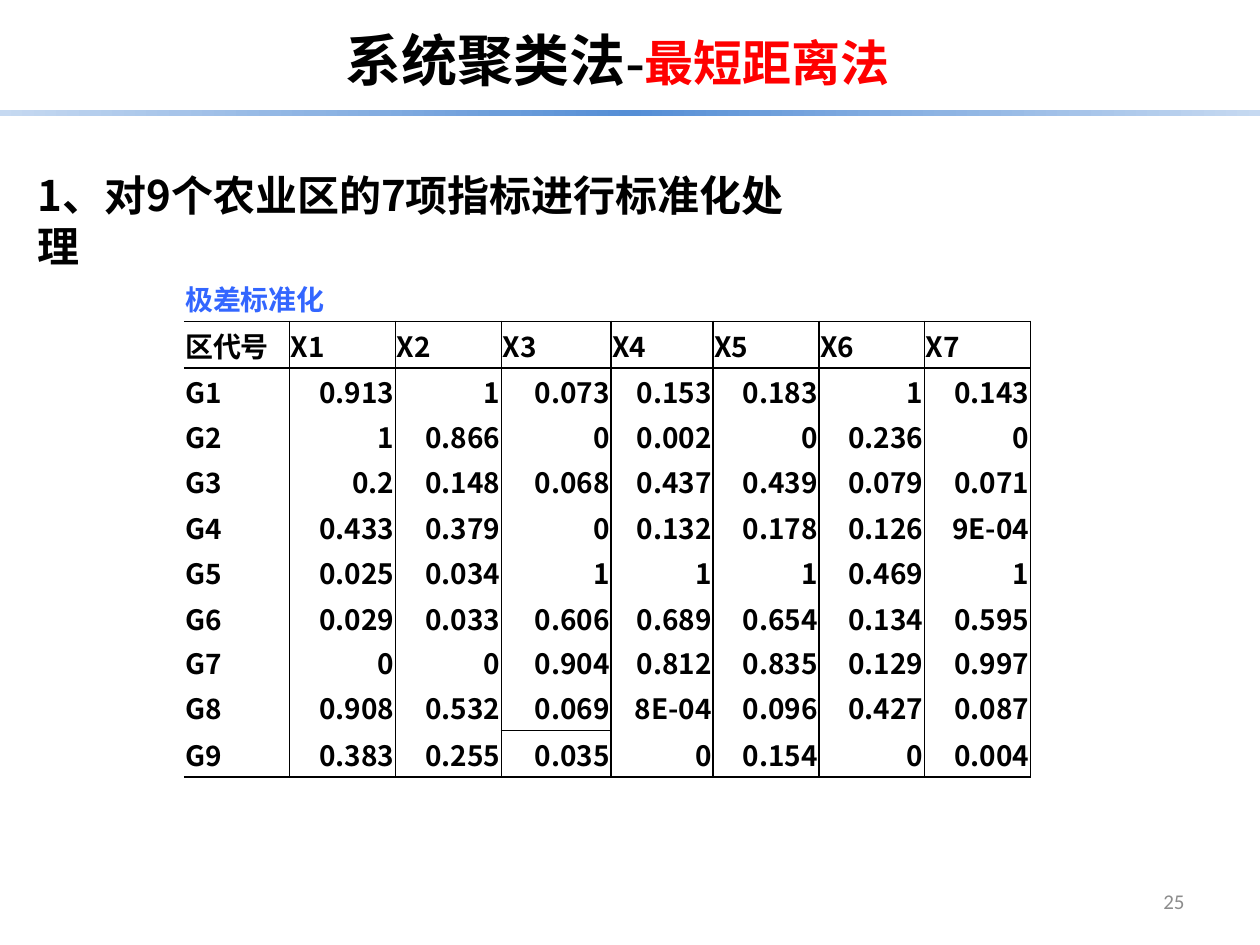
from lxml.etree import SubElement
from pptx import Presentation
from pptx.dml.color import RGBColor
from pptx.enum.shapes import MSO_SHAPE
from pptx.enum.text import MSO_ANCHOR, PP_ALIGN
from pptx.oxml.ns import qn
from pptx.util import Inches, Pt

# Content
TITLE = [("系统聚类法-", 32, "ink"), ("最短距离法", 28, "accent")]
HEADING = "1、对9个农业区的7项指标进行标准化处理"
CAPTION = "极差标准化"
HEADER = ["区代号", "X1", "X2", "X3", "X4", "X5", "X6", "X7"]
ROWS = [
    ["G1", "0.913", "1", "0.073", "0.153", "0.183", "1", "0.143"],
    ["G2", "1", "0.866", "0", "0.002", "0", "0.236", "0"],
    ["G3", "0.2", "0.148", "0.068", "0.437", "0.439", "0.079", "0.071"],
    ["G4", "0.433", "0.379", "0", "0.132", "0.178", "0.126", "9E-04"],
    ["G5", "0.025", "0.034", "1", "1", "1", "0.469", "1"],
    ["G6", "0.029", "0.033", "0.606", "0.689", "0.654", "0.134", "0.595"],
    ["G7", "0", "0", "0.904", "0.812", "0.835", "0.129", "0.997"],
    ["G8", "0.908", "0.532", "0.069", "8E-04", "0.096", "0.427", "0.087"],
    ["G9", "0.383", "0.255", "0.035", "0", "0.154", "0", "0.004"],
]
PAGE_NUMBER = "25"

THEME = {
    "ink": "000000", "accent": "FF0000", "caption": "3366FF", "muted": "8C8C8C",
    "bar": ["C6D9F1", "8EB4E3", "558ED5", "8EB4E3", "C6D9F1"],
    "title_font": "Times New Roman", "body_font": "Noto Sans CJK SC",
    "number_font": "Calibri",
    "heading_size": 24, "table_size": 16, "number_size": 12, "rule": 1,
}
COLUMN_WIDTHS = [0.84, 0.84, 0.84, 0.87, 0.81, 0.84, 0.84, 0.84]
ROW_HEIGHTS = [0.37, 0.37] + [0.36] * 6 + [0.34, 0.38, 0.37]


def style(font, name, size, color, bold=True):
    font.name, font.size, font.bold = name, Pt(size), bold
    font.color.rgb = RGBColor.from_string(THEME[color])
    # East Asian glyphs take their own typeface
    SubElement(font._element, qn("a:ea")).set("typeface", THEME["body_font"])


def add_text(page, place, text, *font, align=PP_ALIGN.LEFT, anchor=MSO_ANCHOR.TOP):
    frame = page.shapes.add_textbox(*map(Inches, place)).text_frame
    frame.word_wrap = True
    frame.vertical_anchor = anchor
    para = frame.paragraphs[0]
    para.text, para.alignment = text, align
    style(para.font, *font)


def add_bar(page):
    bar = page.shapes.add_shape(MSO_SHAPE.RECTANGLE, 0, Inches(0.87), Inches(10), Inches(0.05))
    bar.shadow.inherit = False
    bar.line.fill.background()
    bar.fill.gradient()
    bar.fill.gradient_angle = 0
    stops = bar._element.spPr.find(".//" + qn("a:gsLst"))
    stops.clear()
    for index, color in enumerate(THEME["bar"]):
        stop = SubElement(stops, qn("a:gs"), pos=str(index * 25000))
        SubElement(stop, qn("a:srgbClr"), val=color)


def set_borders(cell, sides):
    properties = cell._tc.get_or_add_tcPr()
    for side in "LRTB":
        line = SubElement(properties, qn("a:ln" + side), w=str(Pt(THEME["rule"])))
        if side in sides:
            fill = SubElement(line, qn("a:solidFill"))
            SubElement(fill, qn("a:srgbClr"), val=THEME["ink"])
        else:
            SubElement(line, qn("a:noFill"))


def border_sides(row, column):
    last = len(ROWS) + 1
    if row == 0:
        return "B"
    sides = "R" if column == 0 else "LR"
    if row <= 2 or (row, column) == (last, 3):
        sides += "T"
    if row in (1, last) or (row, column) == (last - 1, 3):
        sides += "B"
    return sides


def add_data_table(page):
    grid = [[CAPTION] + [""] * (len(HEADER) - 1), HEADER] + ROWS
    frame = page.shapes.add_table(
        len(grid), len(HEADER), Inches(1.46), Inches(2.18),
        Inches(sum(COLUMN_WIDTHS)), Inches(sum(ROW_HEIGHTS)))
    table = frame.table
    table.first_row = table.horz_banding = False
    for column, width in zip(table.columns, COLUMN_WIDTHS):
        column.width = Inches(width)
    for row, height in zip(table.rows, ROW_HEIGHTS):
        row.height = Inches(height)
    table.cell(0, 0).merge(table.cell(0, 1))
    for row, texts in enumerate(grid):
        for column, text in enumerate(texts):
            cell = table.cell(row, column)
            cell.margin_left = cell.margin_right = cell.margin_top = Inches(0.01)
            cell.margin_bottom = 0
            cell.vertical_anchor = MSO_ANCHOR.MIDDLE
            set_borders(cell, border_sides(row, column))
            cell.fill.background()
            para = cell.text_frame.paragraphs[0]
            para.text = text
            para.alignment = PP_ALIGN.RIGHT if row > 1 and column else PP_ALIGN.LEFT
            style(para.font, THEME["body_font"], THEME["table_size"],
                  "ink" if row else "caption")


def main():
    deck = Presentation()
    deck.slide_width, deck.slide_height = Inches(10), Inches(7.5)
    page = deck.slides.add_slide(deck.slide_layouts[5])

    # Title and the bar below it
    title = page.shapes.title
    title.left, title.top, title.width, title.height = map(Inches, (0, -0.16, 9.8, 1.25))
    title.text_frame.vertical_anchor = MSO_ANCHOR.MIDDLE
    para = title.text_frame.paragraphs[0]
    para.alignment = PP_ALIGN.CENTER
    for text, size, color in TITLE:
        span = para.add_run()
        span.text = text
        style(span.font, THEME["title_font"], size, color)
    add_bar(page)

    # Heading, table and page number
    add_text(page, (0.2, 1.3, 6.43, 0.5), HEADING,
             THEME["body_font"], THEME["heading_size"], "ink")
    add_data_table(page)
    add_text(page, (7.17, 6.95, 2.33, 0.4), PAGE_NUMBER,
             THEME["number_font"], THEME["number_size"], "muted", False,
             align=PP_ALIGN.RIGHT, anchor=MSO_ANCHOR.MIDDLE)
    deck.save("out.pptx")


if __name__ == "__main__":
    main()
